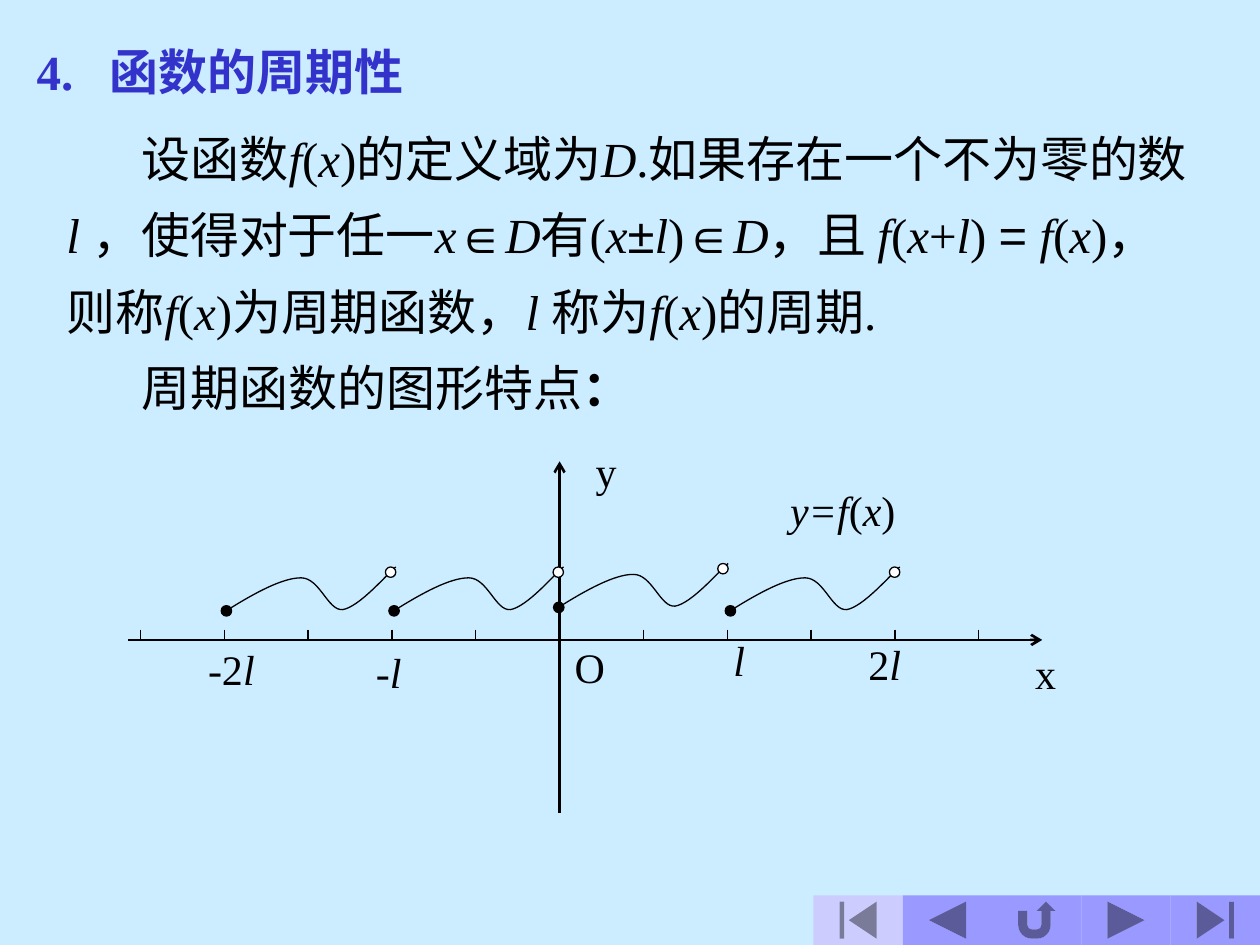
"""Builds the slide on periodic functions."""
from itertools import groupby

from lxml.etree import SubElement
from pptx import Presentation
from pptx.dml.color import RGBColor
from pptx.enum.shapes import MSO_CONNECTOR, MSO_SHAPE
from pptx.enum.text import MSO_ANCHOR, MSO_AUTO_SIZE, PP_ALIGN
from pptx.oxml.ns import qn
from pptx.util import Cm, Pt

BACKGROUND = RGBColor(0xCC, 0xEC, 0xFF)
TITLE_BLUE = RGBColor(0x33, 0x33, 0xCC)
BUTTON_BLUE = RGBColor(0x99, 0x99, 0xFF)
BUTTON_PALE = RGBColor(0xCC, 0xCC, 0xFF)
BLACK = RGBColor(0, 0, 0)
WHITE = RGBColor(0xFF, 0xFF, 0xFF)

DEFINITION = (
    "设函数*f*(*x*)的定义域为*D*.如果存在一个不为零的数 *l *，使得对于任一*x*∈*D*有(*x*±*l*)∈*D*"
    "，且 *f*(*x*+*l*) = *f*(*x*)，则称*f*(*x*)为周期函数，*l *称为*f*(*x*)的周期."
)
WAVE = [
    [(0, 0), (0.53, -0.33), (1.09, -0.64), (1.47, -0.64)],
    [(1.47, -0.64), (1.85, -0.64), (2.01, 0.03), (2.31, 0)],
    [(2.31, 0), (2.64, -0.05), (3.2, -0.71), (3.38, -0.86)],
]
WAVE_STARTS = [(4.6, 12.29), (7.98, 12.29), (11.3, 12.22), (14.76, 12.29)]
LABELS = [
    ("y", 11.76, 9.37, 0.91, 0.66, 0.4),
    ("x", 20.62, 13.36, 0.91, 0.76, 0.5),
    ("O", 11.33, 13.16, 1.12, 0.86, 0.6),
    ("*l*", 14.53, 13.11, 0.74, 0.76, 0.5),
    ("2*l*", 17.25, 13.11, 1.17, 0.86, 0.6),
    ("-2*l*", 3.61, 13.21, 2.11, 0.86, 0.6),
    ("-*l*", 6.78, 13.18, 2.11, 0.97, 0.7),
    ("*y=f*(*x*)", 13.28, 9.91, 7.42, 0.97, 0.7),
]
BUTTONS = [
    (MSO_SHAPE.ACTION_BUTTON_BEGINNING, BUTTON_PALE),
    (MSO_SHAPE.ACTION_BUTTON_BACK_OR_PREVIOUS, BUTTON_BLUE),
    (MSO_SHAPE.ACTION_BUTTON_RETURN, BUTTON_BLUE),
    (MSO_SHAPE.ACTION_BUTTON_FORWARD_OR_NEXT, BUTTON_BLUE),
    (MSO_SHAPE.ACTION_BUTTON_END, BUTTON_BLUE),
]


def bezier_point(points, t):
    """Returns the point of a cubic curve at parameter t."""
    weights = [(1 - t) ** 3, 3 * t * (1 - t) ** 2, 3 * t * t * (1 - t), t ** 3]
    return tuple(sum(w * p[axis] for w, p in zip(weights, points)) for axis in (0, 1))


class SlideBuilder:
    """Holds the style and the current slide."""

    text_font = "Times New Roman"
    symbol_font = "Arial"
    symbols = "∈±="
    thin = Pt(0.75)
    thick = Pt(1.5)

    def __init__(self, presentation):
        self.slide = presentation.slides.add_slide(presentation.slide_layouts[5])
        self.shapes = self.slide.shapes
        fill = self.slide.background.fill
        fill.solid()
        fill.fore_color.rgb = BACKGROUND

    def run(self, paragraph, text, size, color=BLACK, bold=False, italic=False, symbol=False):
        run = paragraph.add_run()
        run.text = text
        font = run.font
        font.name = self.symbol_font if symbol else self.text_font
        font.size, font.bold, font.italic = Pt(size), bold, italic
        font.color.rgb = color

    def formula(self, paragraph, text, size):
        for index, part in enumerate(text.split("*")):
            italic = index % 2 == 1
            for symbol, letters in groupby(part, lambda c: not italic and c in self.symbols):
                self.run(paragraph, "".join(letters), size, italic=italic, symbol=symbol)

    def title(self, number, text):
        shape = self.shapes.title
        shape.left, shape.top, shape.width, shape.height = Cm(0.74), Cm(0.84), Cm(7.39), Cm(1.19)
        frame = shape.text_frame
        frame.auto_size = MSO_AUTO_SIZE.NONE
        frame.word_wrap = False
        frame.vertical_anchor = MSO_ANCHOR.TOP
        frame.margin_left = frame.margin_right = frame.margin_top = frame.margin_bottom = 0
        paragraph = frame.paragraphs[0]
        paragraph.alignment = PP_ALIGN.LEFT
        tabs = SubElement(paragraph._p.get_or_add_pPr(), qn("a:tabLst"))
        SubElement(tabs, qn("a:tab"), pos=str(Cm(1.47)), algn="l")
        self.run(paragraph, f"{number}\t{text}", 28, TITLE_BLUE, bold=True)

    def body(self):
        box = self.shapes.add_textbox(Cm(0.84), Cm(2.11), Cm(23.7), Cm(6.58))
        box.fill.solid()
        box.fill.fore_color.rgb = BACKGROUND
        frame = box.text_frame
        frame.word_wrap = True
        definition, feature = frame.paragraphs[0], frame.add_paragraph()
        for paragraph in (definition, feature):
            paragraph.line_spacing = 1.3
            properties = paragraph._p.get_or_add_pPr()
            properties.set("marL", str(Cm(0.25)))
            properties.set("indent", str(Cm(1.52)))
        self.formula(definition, DEFINITION, 28)
        self.run(feature, "周期函数的图形特点", 28)
        self.run(feature, "：", 28, bold=True)

    def label(self, text, left, top, width, height, spacing):
        frame = self.shapes.add_textbox(Cm(left), Cm(top), Cm(width), Cm(height)).text_frame
        frame.word_wrap = False
        frame.vertical_anchor = MSO_ANCHOR.MIDDLE
        paragraph = frame.paragraphs[0]
        paragraph.alignment = PP_ALIGN.CENTER
        paragraph.line_spacing = spacing
        self.formula(paragraph, text, 24)

    def line(self, start, end, width, arrow=False):
        connector = self.shapes.add_connector(
            MSO_CONNECTOR.STRAIGHT, *(Cm(value) for value in start + end))
        connector.line.color.rgb = BLACK
        connector.line.width = width
        if arrow:
            SubElement(connector.line._get_or_add_ln(), qn("a:tailEnd"), type="arrow")
        SubElement(connector._element.spPr, qn("a:effectLst"))

    def shape(self, kind, left, top, width, height, fill, outline=None):
        shape = self.shapes.add_shape(kind, Cm(left), Cm(top), Cm(width), Cm(height))
        shape.shadow.inherit = False
        shape.fill.solid()
        shape.fill.fore_color.rgb = fill
        if outline is None:
            shape.line.fill.background()
        else:
            shape.line.color.rgb = outline
            shape.line.width = self.thin

    def wave(self, left, base):
        points = [bezier_point(part, step / 16) for part in WAVE for step in range(1, 17)]
        builder = self.shapes.build_freeform(Cm(left), Cm(base))
        builder.add_line_segments([(Cm(left + x), Cm(base + y)) for x, y in points], close=False)
        curve = builder.convert_to_shape()
        curve.shadow.inherit = False
        curve.fill.background()
        curve.line.color.rgb = BLACK
        curve.line.width = self.thin
        self.shape(MSO_SHAPE.OVAL, left + 3.17, base - 0.86, 0.21, 0.21, WHITE, BLACK)
        self.shape(MSO_SHAPE.OVAL, left - 0.14, base - 0.08, 0.21, 0.21, BLACK, BLACK)


def main():
    presentation = Presentation()
    presentation.slide_width, presentation.slide_height = Cm(25.4), Cm(19.05)
    builder = SlideBuilder(presentation)
    builder.title("4.", "函数的周期性")
    builder.body()
    builder.line((2.59, 12.9), (21.01, 12.9), builder.thick, arrow=True)
    builder.line((11.28, 16.38), (11.28, 9.3), builder.thick, arrow=True)
    for step in range(-5, 6):
        if step:
            x = 11.28 + 1.69 * step
            builder.line((x, 12.69), (x, 12.89), builder.thin)
    for start in WAVE_STARTS:
        builder.wave(*start)
    for label in LABELS:
        builder.label(*label)
    for index, (kind, color) in enumerate(BUTTONS):
        builder.shape(kind, 16.4 + 1.8 * index, 18.05, 1.8, 1, color)
    presentation.save("out.pptx")


if __name__ == "__main__":
    main()
